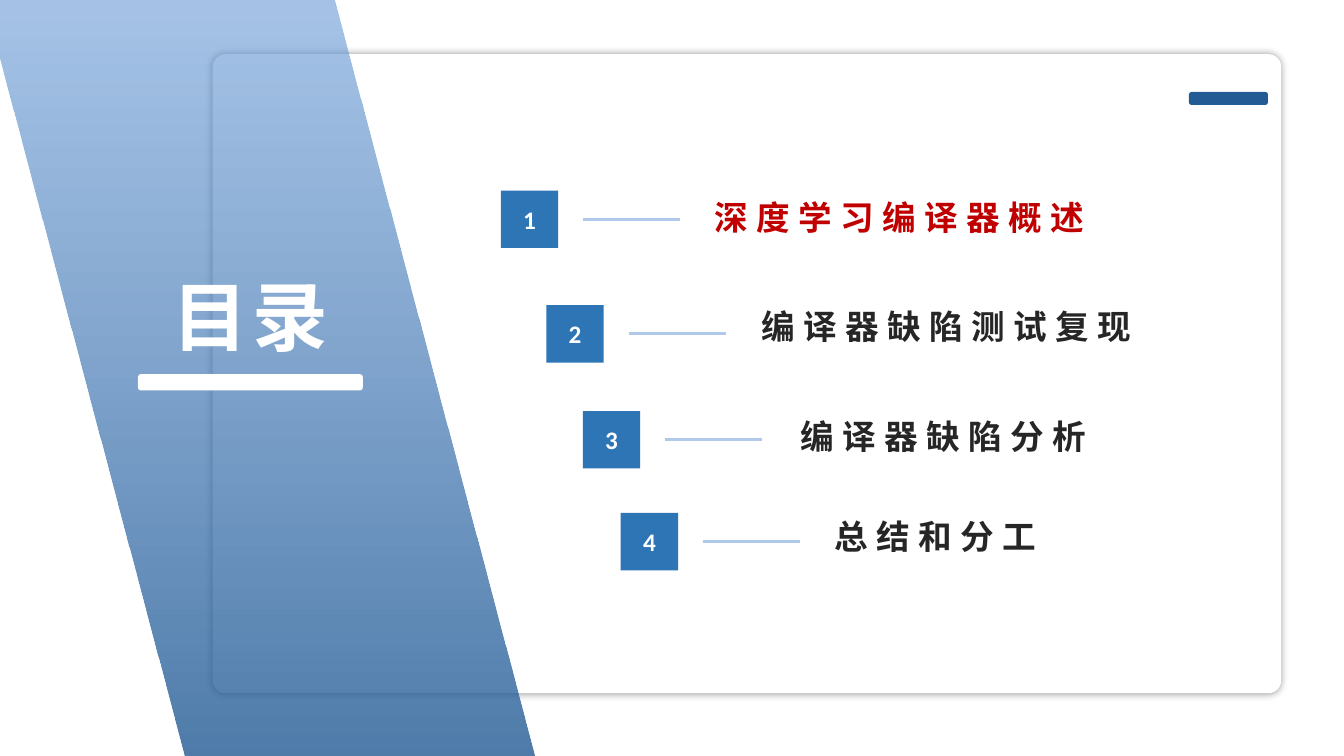
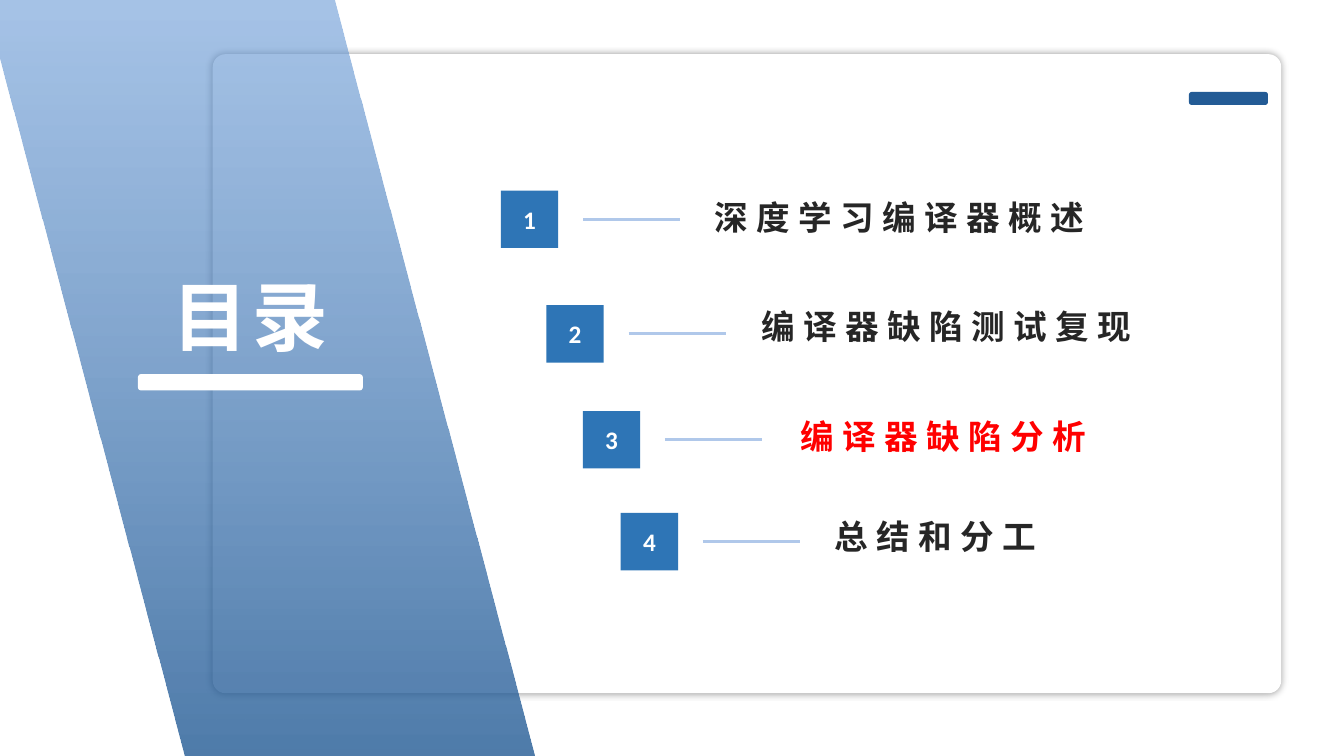
from dataclasses import dataclass

from lxml import etree
from pptx import Presentation
from pptx import util as u
from pptx.dml import color
from pptx.enum import shapes, text
from pptx.oxml import ns

Pt = u.Pt

TITLE = "目录"
# label, square (left, top), text box (left, top, width)
TOPICS = [
    ("深度学习编译器概述", (357.8, 136.2), (503.3, 136.8, 358)),
    ("编译器缺陷测试复现", (390.3, 218), (537.1, 215.3, 296)),
    ("编译器缺陷分析", (416.3, 293.6), (564.5, 293.8, 296)),
    ("总结和分工", (443.4, 366.4), (589, 365, 296)),
]
# current topic and its colour, one pair per slide
AGENDAS = [(1, "C00000"), (3, "FF0000")]

SQUARE = 41
LINE_OFFSET, LINE_LENGTH = 58.7, 69.3


@dataclass(frozen=True)
class Theme:
    font: str = "Calibri"
    white: str = "FFFFFF"
    ink: str = "262626"
    square: str = "2E75B6"
    accent: str = "235B95"
    line: str = "B0C8EA"
    panel: tuple = (("6A9BD7", 60), ("235B95", 80))
    title_size: float = 54
    topic_size: float = 24
    number_size: float = 18
    line_width: float = 2.25


THEME = Theme()
KIND = shapes.MSO_SHAPE


def rgb(value):
    return color.RGBColor.from_string(value)


def add_child(parent, tag, **attributes):
    child = etree.SubElement(parent, ns.qn(tag))
    for name, value in attributes.items():
        child.set(name, str(value))
    return child


def write(shape, words, size, ink, spacing=0, align=text.PP_ALIGN.LEFT,
          anchor=text.MSO_ANCHOR.TOP):
    frame = shape.text_frame
    frame.auto_size = text.MSO_AUTO_SIZE.NONE
    frame.word_wrap = True
    frame.vertical_anchor = anchor
    para = frame.paragraphs[0]
    para.alignment = align
    span = para.add_run()
    span.text = words
    span.font.name = THEME.font
    span.font.size = Pt(size)
    span.font.bold = True
    span.font.color.rgb = rgb(ink)
    properties = span.font._element
    properties.set("lang", "zh-CN")
    properties.set("spc", str(spacing * 100))
    add_child(properties, "a:ea", typeface=THEME.font)


def add_box(slide, kind, left, top, width, height, fill=None, adjust=None):
    box = slide.shapes.add_shape(kind, Pt(left), Pt(top), Pt(width), Pt(height))
    box.shadow.inherit = False
    box.line.fill.background()
    if fill:
        box.fill.solid()
        box.fill.fore_color.rgb = rgb(fill)
    if adjust is not None:
        box.adjustments[0] = adjust
    return box


def add_card(slide):
    card = add_box(slide, KIND.ROUNDED_RECTANGLE, 152, 38.7, 763.2, 456.5,
                   THEME.white, 0.02)
    effects = card.element.spPr.find(ns.qn("a:effectLst"))
    shadow = add_child(effects, "a:outerShdw", blurRad=Pt(5), dist=0, dir=0,
                       algn="ctr", rotWithShape=0)
    black = add_child(shadow, "a:srgbClr", val="000000")
    add_child(black, "a:alpha", val=40000)


def add_panel(slide):
    """Add the slanted, see-through band at the left."""
    panel = add_box(slide, KIND.PARALLELOGRAM, -10.8, 0, 392.4, 540, adjust=0.364)
    panel.element.spPr.find(ns.qn("a:xfrm")).set("flipH", "1")
    panel.fill.gradient()
    panel.fill.gradient_angle = 270
    for stop, (value, _) in zip(panel.fill.gradient_stops, THEME.panel):
        stop.color.rgb = rgb(value)
    tints = panel.element.spPr.iter(ns.qn("a:srgbClr"))
    for tint, (_, opacity) in zip(list(tints), THEME.panel):
        add_child(tint, "a:alpha", val=opacity * 1000)
    return panel


def add_title(slide, panel):
    title = slide.shapes.title
    title.left, title.top, title.width, title.height = map(
        Pt, (90.7, 189.4, 176.4, 67.7))
    write(title, TITLE, THEME.title_size, THEME.white, spacing=3,
          align=text.PP_ALIGN.CENTER)
    panel.element.addnext(title.element)
    add_box(slide, KIND.ROUNDED_RECTANGLE, 98.5, 267.2, 160.7, 11.7,
            THEME.white, 0.2)


def add_topic(slide, number, topic, ink):
    label, (left, top), (text_left, text_top, text_width) = topic
    label_box = slide.shapes.add_textbox(
        Pt(text_left), Pt(text_top), Pt(text_width), Pt(SQUARE))
    write(label_box, label, THEME.topic_size, ink, spacing=6)

    square = add_box(slide, KIND.RECTANGLE, left, top, SQUARE, SQUARE, THEME.square)
    write(square, str(number), THEME.number_size, THEME.white,
          align=text.PP_ALIGN.CENTER, anchor=text.MSO_ANCHOR.MIDDLE)

    start, middle = left + LINE_OFFSET, top + SQUARE / 2
    line = slide.shapes.add_connector(
        shapes.MSO_CONNECTOR.STRAIGHT, Pt(start), Pt(middle),
        Pt(start + LINE_LENGTH), Pt(middle))
    line.line.color.rgb = rgb(THEME.line)
    line.line.width = Pt(THEME.line_width)
    add_child(line.element.spPr, "a:effectLst")


def add_agenda(deck, current, highlight):
    slide = deck.slides.add_slide(deck.slide_layouts[5])
    add_card(slide)
    for number, topic in enumerate(TOPICS, 1):
        add_topic(slide, number, topic,
                  highlight if number == current else THEME.ink)
    add_title(slide, add_panel(slide))
    add_box(slide, KIND.ROUNDED_RECTANGLE, 849.3, 65.7, 56.4, 9.2,
            THEME.accent, 0.2)


def main():
    deck = Presentation()
    deck.slide_width, deck.slide_height = Pt(960), Pt(540)
    for current, highlight in AGENDAS:
        add_agenda(deck, current, highlight)
    deck.save("out.pptx")


if __name__ == "__main__":
    main()
